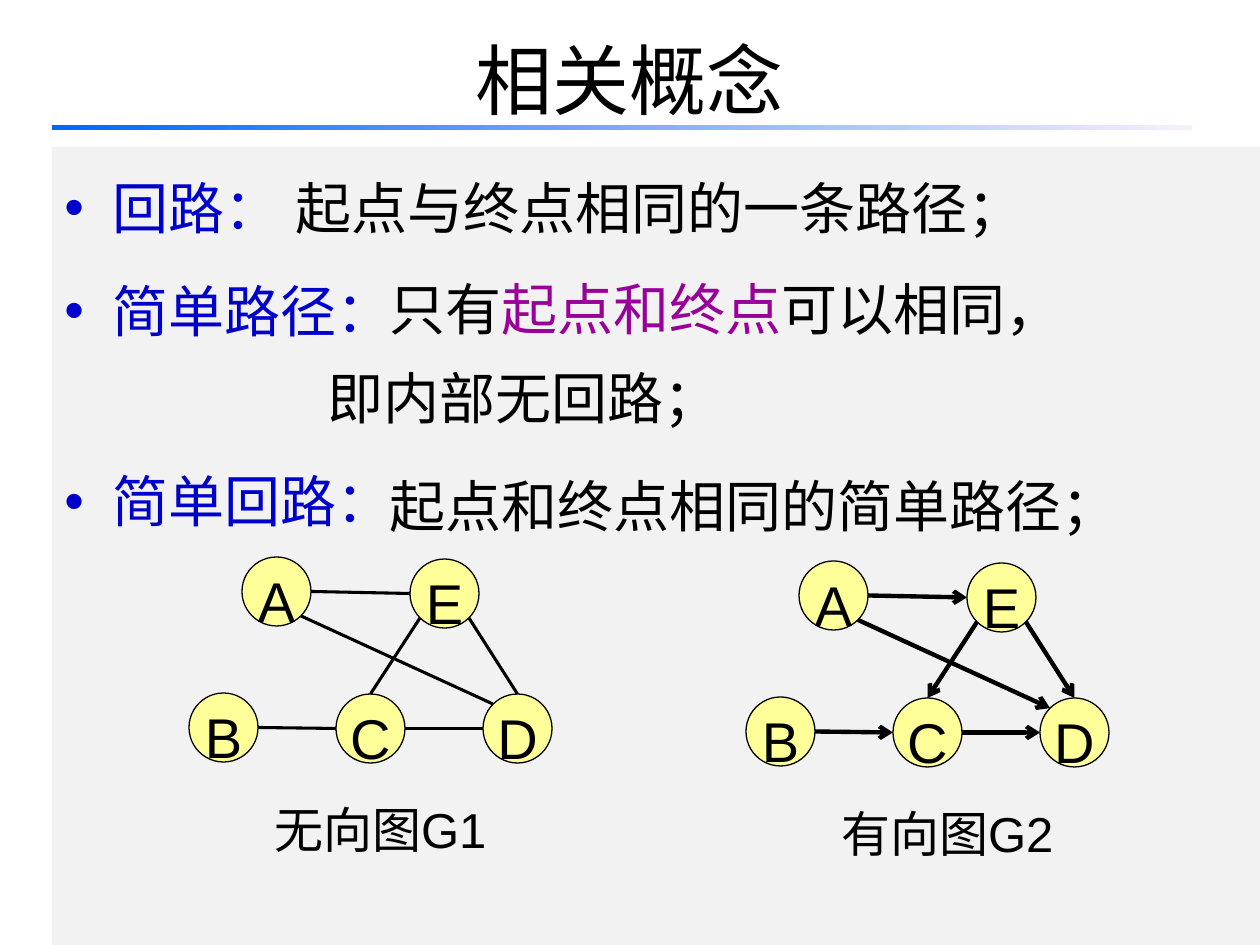
import math

from lxml import etree
from pptx import Presentation
from pptx.dml.color import RGBColor
from pptx.enum import shapes, text
from pptx.oxml.ns import qn
from pptx.util import Pt

SCALE = 914400 / 126  # EMU in one px

THEME = {
    "latin": "Arial", "cjk": "Noto Sans CJK SC",
    "title": 44, "body": 32, "caption": 28,
    "ink": "000000", "term": "0000CC", "accent": "990099",
    "panel": "F2F2F2", "node": "FFFF99", "rule": ("0066FF", "F7EFFF"),
}

NODE = 69
NODES = {"A": (53, 0), "E": (221, 2), "C": (147, 137), "D": (294, 137), "B": (0, 136)}
# Each end is a node and the angle, clockwise from the right, where the edge meets it
EDGES = [
    ("A", 0, "E", 180), ("E", 135, "C", 270), ("E", 45, "D", 270),
    ("A", 45, "D", 225), ("B", 0, "C", 180), ("C", 0, "D", 180),
]


def px(*lengths):
    return [round(n * SCALE) for n in lengths]


def rgb(name):
    return RGBColor.from_string(THEME.get(name, name))


def set_all(obj, values):
    for name, value in values.items():
        setattr(obj, name, value)


def add_run(p, words, size="body", color="ink", font="latin"):
    r = p.add_run()
    r.text = words
    set_all(r.font, {"size": Pt(THEME[size]), "name": THEME[font]})
    r.font.color.rgb = rgb(color)
    etree.SubElement(r.font._element, qn("a:ea"), typeface=THEME["cjk"])


def set_indent(p, left, first=0, bullet=None):
    pPr = p._p.get_or_add_pPr()
    margin, indent = px(left, first)
    pPr.set("marL", str(margin))
    pPr.set("indent", str(indent))
    if bullet:
        etree.SubElement(pPr, qn("a:buFont"), typeface=THEME["latin"])
        etree.SubElement(pPr, qn("a:buChar"), char=bullet)
    else:
        etree.SubElement(pPr, qn("a:buNone"))


def add_preset(slide, kind, box):
    sp = slide.shapes.add_shape(kind, *px(*box))
    sp.shadow.inherit = False
    return sp


def add_text(slide, box, runs, size="body"):
    """Text box holding one line made of (words, colour) runs."""
    tf = slide.shapes.add_textbox(*px(*box)).text_frame
    set_all(tf, {"word_wrap": True, "auto_size": text.MSO_AUTO_SIZE.SHAPE_TO_FIT_TEXT})
    p = tf.paragraphs[0]
    p.line_spacing = 1.25
    for words, color in runs:
        add_run(p, words, size, color)


def add_header(slide, x, y, w, h):
    # Title
    tf = slide.shapes.add_textbox(*px(x, y, w, h)).text_frame
    set_all(tf, {"word_wrap": True, "vertical_anchor": text.MSO_ANCHOR.MIDDLE})
    p = tf.paragraphs[0]
    p.alignment = text.PP_ALIGN.CENTER
    add_run(p, "相关概念", "title", font="cjk")
    # Fading rule under the title
    rule = add_preset(slide, shapes.MSO_SHAPE.RECTANGLE, (x - 11, y + 125, 1140, 5))
    rule.line.fill.background()
    rule.fill.gradient()
    rule.fill.gradient_angle = 0
    for stop, color, position in zip(rule.fill.gradient_stops, THEME["rule"], (0, 1)):
        stop.color.rgb = rgb(color)
        stop.position = position


def add_definitions(slide, x, y, w, h):
    # Grey panel with the terms
    panel = add_preset(slide, shapes.MSO_SHAPE.RECTANGLE, (x, y, w, h))
    panel.fill.solid()
    panel.fill.fore_color.rgb = rgb("panel")
    panel.line.fill.background()
    tf = panel.text_frame
    set_all(tf, {"word_wrap": True, "vertical_anchor": text.MSO_ANCHOR.TOP})
    lines = [("回路：", True), ("简单路径：", True), ("即内部无回路；", False), ("简单回路：", True)]
    for i, (words, is_term) in enumerate(lines):
        p = tf.paragraphs[0] if i == 0 else tf.add_paragraph()
        set_all(p, {"alignment": text.PP_ALIGN.JUSTIFY, "line_spacing": 1.3,
                    "space_before": Pt(9 if is_term and i else 0)})
        if is_term:
            set_indent(p, 48, -48, "•")
        else:
            set_indent(p, 263)
        add_run(p, words, color="term" if is_term else "ink")
    # Meanings beside the terms
    add_text(slide, (x + 231, y + 4, 819, 97), [("起点与终点相同的一条路径；", "ink")])
    add_text(slide, (x + 325, y + 105, 809, 88),
             [("只有", "ink"), ("起点和终点", "accent"), ("可以相同，", "ink")])
    add_text(slide, (x + 325, y + 302, 861, 97), [("起点和终点相同的简单路径；", "ink")])


def add_node(slide, x, y, label):
    sp = add_preset(slide, shapes.MSO_SHAPE.OVAL, (x, y, NODE, NODE))
    sp.fill.solid()
    sp.fill.fore_color.rgb = rgb("node")
    sp.line.color.rgb = rgb("ink")
    sp.line.width = Pt(0.75)
    tf = sp.text_frame
    set_all(tf, {"word_wrap": False, "vertical_anchor": text.MSO_ANCHOR.MIDDLE})
    p = tf.paragraphs[0]
    set_all(p, {"alignment": text.PP_ALIGN.CENTER, "line_spacing": 1.25})
    add_run(p, label)


def rim_point(x, y, node, angle):
    left, top = NODES[node]
    r, turn = NODE / 2, math.radians(angle)
    return x + left + r + r * math.cos(turn), y + top + r + r * math.sin(turn)


def add_edge(slide, start, end, directed):
    line = slide.shapes.add_connector(shapes.MSO_CONNECTOR.STRAIGHT, *px(*start, *end))
    line.line.color.rgb = rgb("ink")
    line.line.width = Pt(2.5 if directed else 1.75)
    if directed:
        etree.SubElement(line.line._get_or_add_ln(), qn("a:tailEnd"), type="arrow")
    etree.SubElement(line._element.spPr, qn("a:effectLst"))


def add_graph(slide, x, y, caption, caption_box, directed=False):
    for label, (left, top) in NODES.items():
        add_node(slide, x + left, y + top, label)
    for tail, leave, head, arrive in EDGES:
        add_edge(slide, rim_point(x, y, tail, leave), rim_point(x, y, head, arrive), directed)
    # Caption
    left, top, w, h = caption_box
    add_text(slide, (x + left, y + top, w, h), [(caption, "ink")], "caption")


def main():
    prs = Presentation()
    prs.slide_width, prs.slide_height = px(1260, 945)
    slide = prs.slides.add_slide(prs.slide_layouts[6])
    add_header(slide, 63, 0, 1134, 157)
    add_definitions(slide, 52, 147, 1208, 798)
    add_graph(slide, 189, 557, "无向图G1", (73, 222, 305, 79))
    add_graph(slide, 746, 561, "有向图G2", (83, 222, 273, 79), directed=True)
    prs.save("out.pptx")


if __name__ == "__main__":
    main()
